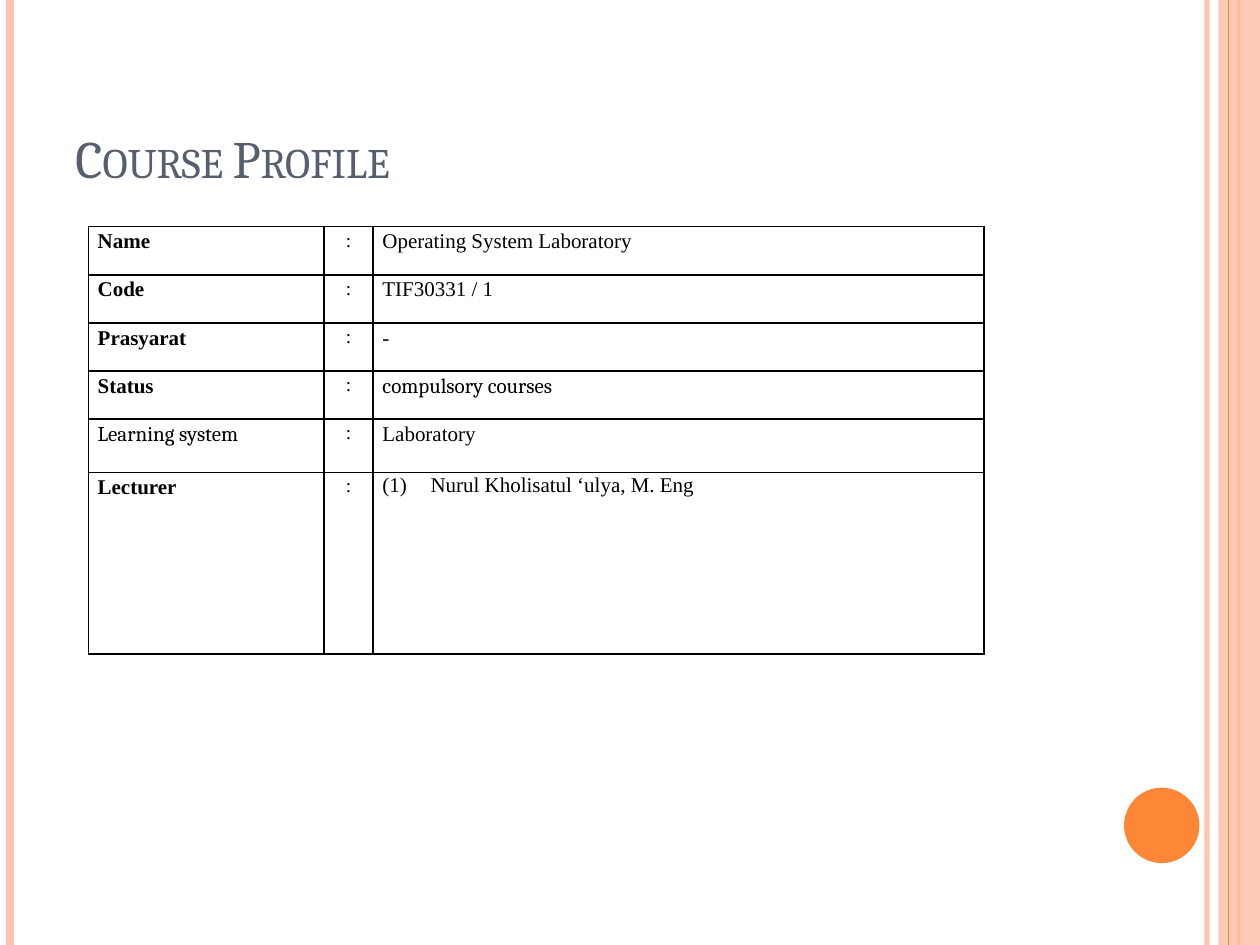
from lxml import etree
from pptx import Presentation
from pptx import util as u
from pptx.dml.color import RGBColor
from pptx.enum import shapes, text
from pptx.oxml import ns

COLOURS = {"peach": "FEC3AE", "orange": "FE8637", "slate": "575F6D", "black": "000000"}
SERIF, TIMES = "Cambria", "Times New Roman"
SLIDE_WIDTH, SLIDE_HEIGHT = 25.4, 19.05
LABEL_INDENT = 0.97

PROFILE = [
    ("Name", "Operating System Laboratory", TIMES),
    ("Code", "TIF30331 / 1", TIMES),
    ("Prasyarat", "-", TIMES),
    ("Status", "compulsory courses", SERIF),
    ("Learning system", "Laboratory", TIMES),
    ("Lecturer", "Nurul Kholisatul ‘ulya, M. Eng", TIMES),
]
COLUMN_WIDTHS = [4.75, 0.99, 12.32]
ROW_HEIGHTS = [0.97] * 4 + [1.07, 3.66]


def rgb(name):
    return RGBColor.from_string(COLOURS[name])


def add_element(parent, tag, **attributes):
    return etree.SubElement(parent, ns.qn(tag), attributes)


def set_opacity(fill_parent, percent):
    colour = next(fill_parent.iter(ns.qn("a:srgbClr")))
    add_element(colour, "a:alpha", val=str(percent * 1000))


def add_stripe(slide, x, top, height, colour, width, opacity=100):
    line = slide.shapes.add_connector(
        shapes.MSO_CONNECTOR.STRAIGHT, u.Cm(x), u.Cm(top), u.Cm(x), u.Cm(top + height))
    line.line.color.rgb = rgb(colour)
    line.line.width = u.Pt(width)
    if opacity < 100:
        set_opacity(line.line._ln, opacity)
    add_element(line._element.spPr, "a:effectLst")


def add_solid(slide, kind, left, top, width, height, colour):
    shape = slide.shapes.add_shape(kind, u.Cm(left), u.Cm(top), u.Cm(width), u.Cm(height))
    shape.shadow.inherit = False
    shape.fill.solid()
    shape.fill.fore_color.rgb = rgb(colour)
    shape.line.fill.background()
    return shape


def add_run(paragraph, words, font, size, colour="black", bold=False):
    run = paragraph.add_run()
    run.text = words
    run.font.name = font
    run.font.size = u.Pt(size)
    run.font.bold = bold
    run.font.color.rgb = rgb(colour)
    return run


def add_decoration(slide, left, top, width, height):
    right = left + width
    add_stripe(slide, right - 1.07, top, height, "peach", 3, 93)
    add_stripe(slide, left + 0.2, top, height, "peach", 4.5)
    add_stripe(slide, right - 0.43, top, height, "orange", 1.5)
    band = add_solid(slide, shapes.MSO_SHAPE.RECTANGLE, right - 0.84, top, 0.84, height, "peach")
    set_opacity(band._element.spPr, 87)
    add_stripe(slide, right - 0.63, top, height, "orange", 0.75)
    add_solid(slide, shapes.MSO_SHAPE.OVAL, right - 2.74, top + height - 3.17, 1.52, 1.52, "orange")


def add_title(slide, left, top, width, height):
    frame = slide.shapes.add_textbox(u.Cm(left), u.Cm(top), u.Cm(width), u.Cm(height)).text_frame
    frame.word_wrap = True
    frame.vertical_anchor = text.MSO_ANCHOR.BOTTOM
    run = add_run(frame.paragraphs[0], "Course Profile", SERIF, 30, "slate")
    run.font._element.set("cap", "small")


def style_cell(cell):
    cell.margin_left = cell.margin_right = u.Cm(0.19)
    cell.margin_top = cell.margin_bottom = 0
    cell.fill.background()
    properties = cell._tc.get_or_add_tcPr()
    for position, side in enumerate(("a:lnL", "a:lnR", "a:lnT", "a:lnB")):
        border = add_element(properties, side, w=str(u.Pt(1)))
        fill = add_element(border, "a:solidFill")
        add_element(fill, "a:srgbClr", val=COLOURS["black"])
        properties.insert(position, border)


def fill_cell(cell, words, font, size, spacing=1.15, after=0, bold=False):
    style_cell(cell)
    paragraph = cell.text_frame.paragraphs[0]
    paragraph.line_spacing = spacing
    paragraph.space_after = u.Pt(after)
    add_run(paragraph, words, font, size, bold=bold)
    return paragraph


def hang_indent(paragraph):
    properties = paragraph._p.get_or_add_pPr()
    properties.set("marL", str(u.Cm(LABEL_INDENT)))
    properties.set("indent", str(-u.Cm(LABEL_INDENT)))
    return properties


def add_profile_table(slide, left, top):
    table = slide.shapes.add_table(
        len(PROFILE), len(COLUMN_WIDTHS), u.Cm(left), u.Cm(top),
        u.Cm(sum(COLUMN_WIDTHS)), u.Cm(sum(ROW_HEIGHTS))).table
    table.first_row = table.horz_banding = False
    for column, width in zip(table.columns, COLUMN_WIDTHS):
        column.width = u.Cm(width)
    for row, height, (label, value, font) in zip(table.rows, ROW_HEIGHTS, PROFILE):
        row.height = u.Cm(height)
        label_cell, colon_cell, value_cell = row.cells
        plain = label == "Learning system"
        hang_indent(fill_cell(label_cell, label, SERIF if plain else TIMES, 12, bold=not plain))
        colon = fill_cell(colon_cell, ":", TIMES, 11, after=10)
        colon.alignment = text.PP_ALIGN.CENTER
        if label == "Lecturer":
            lecturer = fill_cell(value_cell, value, font, 12, spacing=1.07, after=8)
            add_element(hang_indent(lecturer), "a:buAutoNum", type="arabicParenBoth")
        else:
            fill_cell(value_cell, value, font, 12, after=10)


presentation = Presentation()
presentation.slide_width = u.Cm(SLIDE_WIDTH)
presentation.slide_height = u.Cm(SLIDE_HEIGHT)
slide = presentation.slides.add_slide(presentation.slide_layouts[6])
add_decoration(slide, 0, 0, SLIDE_WIDTH, SLIDE_HEIGHT)
add_title(slide, 1.27, 0.76, 20.75, 3.18)
add_profile_table(slide, 1.78, 4.57)
presentation.save("out.pptx")
